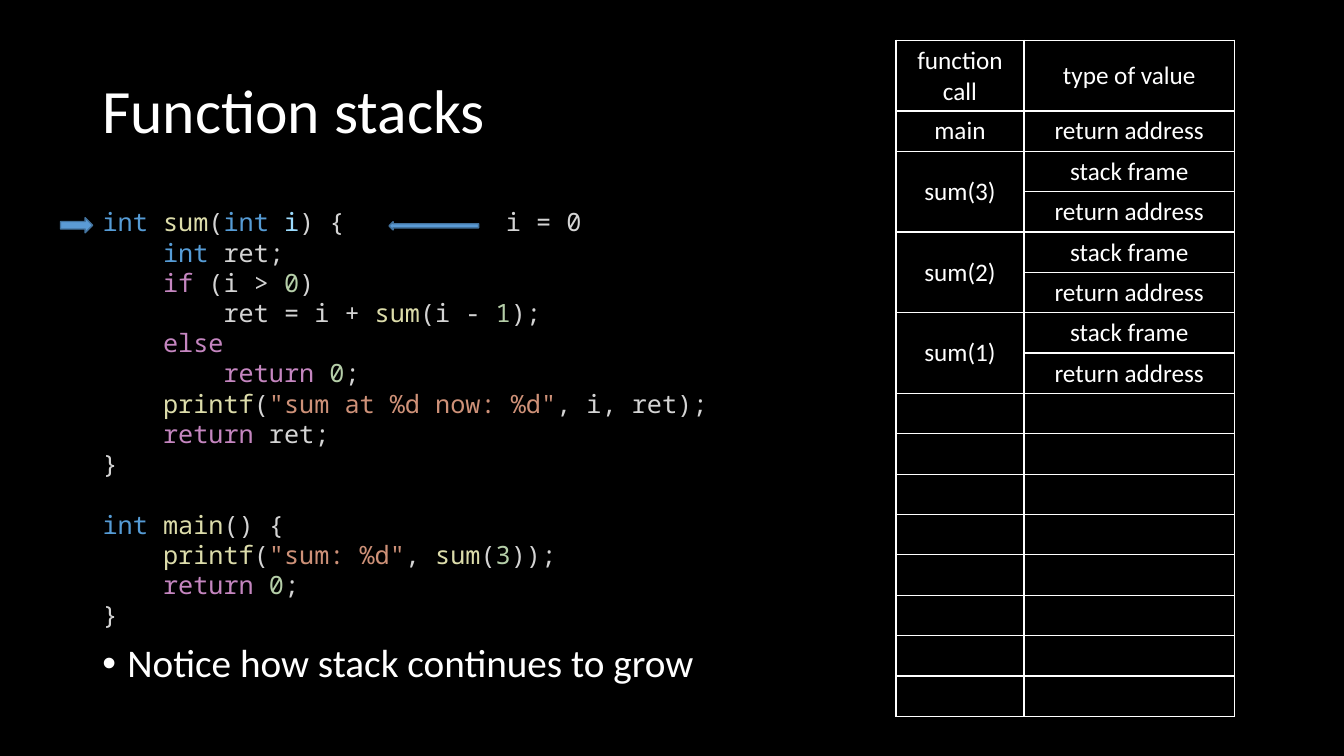
from lxml.etree import SubElement
from pptx import Presentation
from pptx.dml.color import RGBColor
from pptx.enum.shapes import MSO_SHAPE
from pptx.enum.text import MSO_ANCHOR, PP_ALIGN
from pptx.oxml.ns import qn
from pptx.util import Pt

COLORS = {
    "background": "000000",
    "white": "FFFFFF",
    "plain": "D4D4D4",
    "type": "569CD6",
    "function": "DCDCAA",
    "parameter": "9CDCFE",
    "control": "C586C0",
    "number": "B5CEA8",
    "string": "CE9178",
    "arrow": "5B9BD5",
    "arrow line": "43739E",
}
TEXT_FONT, CODE_FONT = "Calibri", "Noto Sans Mono"
CODE_INDENT = 43.2  # four characters
CODE_LINE = 21.6

# Each line: indent level, then its coloured parts
CODE = [
    (0, [("int ", "type"), ("sum", "function"), ("(", "plain"), ("int ", "type"),
         ("i", "parameter"), (") {\ti = 0", "plain")]),
    (1, [("int", "type"), (" ret;", "plain")]),
    (1, [("if", "control"), (" (i > ", "plain"), ("0", "number"), (")", "plain")]),
    (2, [("ret = i + ", "plain"), ("sum", "function"), ("(i - ", "plain"),
         ("1", "number"), (");", "plain")]),
    (1, [("else", "control")]),
    (2, [("return ", "control"), ("0", "number"), (";", "plain")]),
    (1, [("printf", "function"), ("(", "plain"), ('"sum at %d now: %d"', "string"),
         (", i, ret);", "plain")]),
    (1, [("return", "control"), (" ret;", "plain")]),
    (0, [("}", "plain")]),
    (0, [("int ", "type"), ("main", "function"), ("() {", "plain")]),
    (1, [("printf", "function"), ("(", "plain"), ('"sum: %d"', "string"),
         (", ", "plain"), ("sum", "function"), ("(", "plain"), ("3", "number"),
         ("));", "plain")]),
    (1, [("return ", "control"), ("0", "number"), (";", "plain")]),
    (0, [("}", "plain")]),
]
MAIN_LINE = 9

STACK_ROWS = 16
STACK_CALLS = [
    ("function call", ["type of value"]),
    ("main", ["return address"]),
    ("sum(3)", ["stack frame", "return address"]),
    ("sum(2)", ["stack frame", "return address"]),
    ("sum(1)", ["stack frame", "return address"]),
]


def color(name):
    return RGBColor.from_string(COLORS[name])


def format_run(run, size, font=TEXT_FONT, color_name="white"):
    run.font.size = Pt(size)
    run.font.name = font
    run.font.color.rgb = color(color_name)


def add_text_frame(slide, box):
    text_frame = slide.shapes.add_textbox(*map(Pt, box)).text_frame
    text_frame.word_wrap = True
    return text_frame


def add_title(slide, box, text):
    text_frame = add_text_frame(slide, box)
    text_frame.vertical_anchor = MSO_ANCHOR.MIDDLE
    text_frame.text = text
    paragraph = text_frame.paragraphs[0]
    paragraph.line_spacing = 0.9
    format_run(paragraph.runs[0], 44)


def add_bullet(slide, box, text):
    text_frame = add_text_frame(slide, box)
    text_frame.text = text
    paragraph = text_frame.paragraphs[0]
    paragraph.line_spacing = 0.9
    paragraph.space_before = Pt(10)
    format_run(paragraph.runs[0], 28)
    properties = paragraph._p.get_or_add_pPr()
    properties.set("marL", str(Pt(18)))
    properties.set("indent", str(Pt(-18)))
    SubElement(properties, qn("a:buFont"), typeface="Arial")
    SubElement(properties, qn("a:buChar"), char="•")


def add_arrow(slide, preset, box):
    arrow = slide.shapes.add_shape(preset, *map(Pt, box))
    arrow.shadow.inherit = False
    arrow.fill.solid()
    arrow.fill.fore_color.rgb = color("arrow")
    arrow.line.color.rgb = color("arrow line")
    arrow.line.width = Pt(1)


def add_code(slide, box):
    left, top, width, height = box
    text_frame = add_text_frame(slide, box)
    for index, (level, parts) in enumerate(CODE):
        paragraph = text_frame.add_paragraph() if index else text_frame.paragraphs[0]
        properties = paragraph._p.get_or_add_pPr()
        properties.set("marL", str(Pt(level * CODE_INDENT)))
        if index == MAIN_LINE:
            paragraph.space_before = Pt(CODE_LINE)
        if index == 0:
            tabs = SubElement(properties, qn("a:tabLst"))
            SubElement(tabs, qn("a:tab"), pos=str(Pt(288)), algn="l")
        for text, color_name in parts:
            run = paragraph.add_run()
            run.text = text
            format_run(run, 18, CODE_FONT, color_name)

    # Current line and its argument
    add_arrow(slide, MSO_SHAPE.RIGHT_ARROW, (left - 23, top + 11.5, 23, 10.8))
    add_arrow(slide, MSO_SHAPE.LEFT_ARROW, (left + 211.7, top + 14.4, 64, 5.8))


def format_cell(cell):
    cell.fill.background()
    cell.vertical_anchor = MSO_ANCHOR.MIDDLE
    for paragraph in cell.text_frame.paragraphs:
        paragraph.alignment = PP_ALIGN.CENTER
        for run in paragraph.runs:
            format_run(run, 18)
    properties = cell._tc.get_or_add_tcPr()
    for position, side in enumerate(("a:lnL", "a:lnR", "a:lnT", "a:lnB")):
        line = properties.makeelement(qn(side), {"w": str(Pt(1))})
        fill = SubElement(line, qn("a:solidFill"))
        SubElement(fill, qn("a:srgbClr"), val=COLORS["white"])
        properties.insert(position, line)


def add_stack_table(slide, box):
    left, top, width, height = box
    table = slide.shapes.add_table(STACK_ROWS, 2, *map(Pt, box)).table
    table.first_row = False
    table.horz_banding = False
    call_width, header_height = 91.4, 50
    table.columns[0].width = Pt(call_width)
    table.columns[1].width = Pt(width - call_width)
    for row in table.rows:
        row.height = Pt((height - header_height) / (STACK_ROWS - 1))
    table.rows[0].height = Pt(header_height)

    row_index = 0
    for call, values in STACK_CALLS:
        call_cell = table.cell(row_index, 0)
        call_cell.text_frame.text = call
        last_row = row_index + len(values) - 1
        if last_row > row_index:
            call_cell.merge(table.cell(last_row, 0))
        for value in values:
            table.cell(row_index, 1).text_frame.text = value
            row_index += 1
    for cell in table.iter_cells():
        format_cell(cell)


def main():
    presentation = Presentation()
    presentation.slide_width, presentation.slide_height = Pt(960), Pt(540)
    slide = presentation.slides.add_slide(presentation.slide_layouts[6])
    slide.background.fill.solid()
    slide.background.fill.fore_color.rgb = color("background")

    add_title(slide, (66, 28.8, 828, 104.4), "Function stacks")
    add_code(slide, (66.2, 144, 480, 334))
    add_stack_table(slide, (640, 28.8, 241.9, 482.4))
    add_bullet(slide, (66, 456.5, 828, 54.7), "Notice how stack continues to grow")
    presentation.save("out.pptx")


if __name__ == "__main__":
    main()
